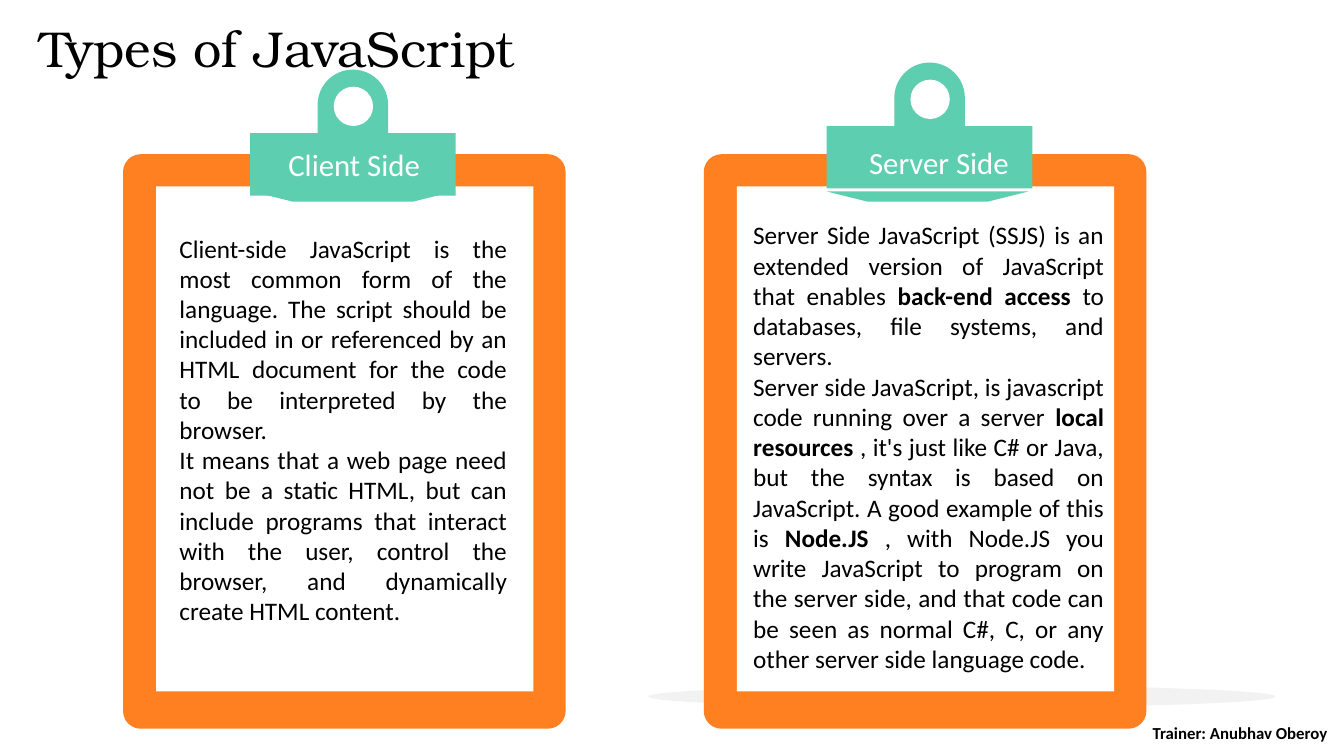
from pptx import Presentation
from pptx.dml.color import RGBColor
from pptx.enum import shapes, text
from pptx.oxml import parse_xml
from pptx.oxml.ns import nsdecls
from pptx.util import Inches, Pt

theme = {
    "ink": RGBColor.from_string("000000"),
    "paper": RGBColor.from_string("FFFFFF"),
    "board": RGBColor.from_string("FF8021"),
    "clip": RGBColor.from_string("5DCEAF"),
    "shade": RGBColor.from_string("F2F2F2"),
    "title": Pt(36), "head": Pt(22), "body": Pt(18), "foot": Pt(12),
    "serif": "TeX Gyre Bonum", "sans": "Calibri",
}
cell = Inches(0.1)
kind = shapes.MSO_SHAPE
align = text.PP_ALIGN
anchor = text.MSO_ANCHOR

deck = Presentation()
deck.slide_width, deck.slide_height = Inches(13.33), Inches(7.5)
slide = deck.slides.add_slide(deck.slide_layouts[4])
tree = slide.shapes


def paint(shape, color):
    shape.shadow.inherit = False
    shape.fill.solid()
    shape.fill.fore_color.rgb = theme[color]
    shape.line.fill.background()


def write(shape, place, lines, size, color="ink", face="sans", side=align.LEFT,
          bold=False, hold=anchor.TOP, space=1.0):
    for name, value in zip(("left", "top", "width", "height"), place):
        setattr(shape, name, round(value * cell))
    frame = shape.text_frame
    look = {"word_wrap": True, "auto_size": text.MSO_AUTO_SIZE.NONE,
            "vertical_anchor": hold}
    for name, value in look.items():
        setattr(frame, name, value)
    for row, line in enumerate(lines):
        para = frame.add_paragraph() if row else frame.paragraphs[0]
        props = para._p.get_or_add_pPr()
        props.set("marL", "0")
        props.set("indent", "0")
        props.append(parse_xml(f"<a:buNone {nsdecls('a')}/>"))
        form = {"alignment": side, "line_spacing": space,
                "space_before": Pt(0), "space_after": Pt(0)}
        for name, value in form.items():
            setattr(para, name, value)
        for turn, part in enumerate(line.split("*")):
            run = para.add_run()
            run.text = part
            font = {"size": theme[size], "name": theme[face],
                    "bold": bold or turn % 2 == 1}
            for name, value in font.items():
                setattr(run.font, name, value)
            run.font.color.rgb = theme[color]


write(tree.title, (2.9, 1.9, 125, 8), ["Types of JavaScript"], "title",
      face="serif", space=0.9)
foot = tree.add_textbox(0, 0, cell, cell)
write(foot, (112.7, 71.6, 20.6, 2.3), ["Trainer: Anubhav Oberoy"], "foot",
      side=align.CENTER, bold=True, hold=anchor.MIDDLE)

parts = [(kind.OVAL, 64.3, 68, 62.2, 2.2, "shade", ())]
sides = [
    {"board": (12.2, 15.3), "clip": (24.8, 6.9),
     "head": (27.6, 14, 18.2, 4.7), "name": "Client Side",
     "body": (16.8, 22.6, 34.5, 40.4),
     "lines": [
         "Client-side JavaScript is the most common form of the language. The script should be included in or referenced by an HTML document for the code to be interpreted by the browser.",
         "It means that a web page need not be a static HTML, but can include programs that interact with the user, control the browser, and dynamically create HTML content."]},
    {"board": (69.8, 15.3), "clip": (82, 6.2),
     "head": (85.2, 13.8, 18.2, 4.7), "name": "Server Side",
     "body": (73.7, 21.3, 36.8, 46.4),
     "lines": [
         "Server Side JavaScript (SSJS) is an extended version of JavaScript that enables *back-end access* to databases, file systems, and servers.",
         "Server side JavaScript, is javascript code running over a server *local resources* , it's just like C# or Java, but the syntax is based on JavaScript. A good example of this is *Node.JS* , with Node.JS you write JavaScript to program on the server side, and that code can be seen as normal C#, C, or any other server side language code."]},
]
for side in sides:
    x, y = side["board"]
    a, b = side["clip"]
    parts += [
        (kind.ROUNDED_RECTANGLE, x, y, 43.9, 57, "board", (0.04,)),
        (kind.RECTANGLE, x + 3.3, y + 3.2, 37.4, 50.1, "paper", ()),
        (kind.RECTANGLE, a, b + 6.3, 20.4, 6.2, "clip", ()),
        (kind.ROUND_2_SAME_RECTANGLE, a + 6.7, b, 7, 8.5, "clip", (0.5, 0)),
        (kind.OVAL, a + 8.3, b + 1.7, 3.9, 3.9, "paper", ()),
    ]

for form, x, y, w, h, color, bends in parts:
    shape = tree.add_shape(form, *(round(n * cell) for n in (x, y, w, h)))
    paint(shape, color)
    for spot, bend in enumerate(bends):
        shape.adjustments[spot] = bend

for spot, side in enumerate(sides):
    a, b = side["clip"]
    b += 12.5
    edge = tree.build_freeform(a, b, scale=cell)
    edge.add_line_segments([(a + 20.4, b), (a + 15.9, b + 1.1), (a + 4.1, b + 1.1)])
    paint(edge.convert_to_shape(), "clip")
    head, body = (slide.placeholders[2 * spot + n] for n in (1, 2))
    write(head, side["head"], [side["name"]], "head", "paper")
    write(body, side["body"], side["lines"], "body", side=align.JUSTIFY)
    for holder in (head, body):
        tree._spTree.append(holder._element)

deck.save("out.pptx")
